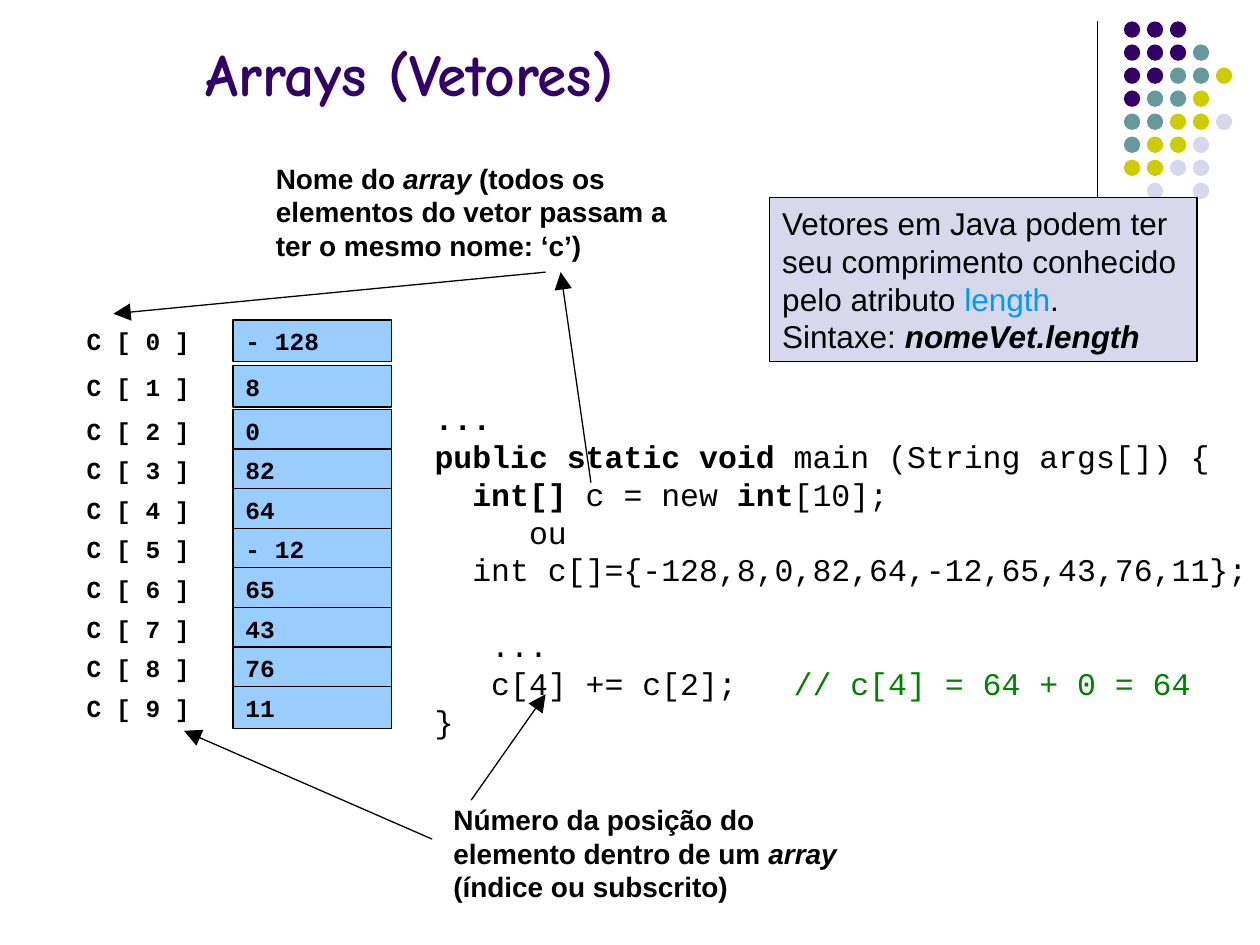
import pptx
import pptx.util
import pptx.dml.color
import pptx.enum.shapes
import pptx.enum.text
import pptx.oxml
import pptx.oxml.ns

Inches, Pt = pptx.util.Inches, pptx.util.Pt
OVAL = pptx.enum.shapes.MSO_SHAPE.OVAL
RECTANGLE = pptx.enum.shapes.MSO_SHAPE.RECTANGLE
STRAIGHT = pptx.enum.shapes.MSO_CONNECTOR.STRAIGHT


def color(hex_code):
    return pptx.dml.color.RGBColor.from_string(hex_code)


def write(shape, lines, base):
    frame = shape.text_frame
    frame.word_wrap = True
    frame.vertical_anchor = pptx.enum.text.MSO_ANCHOR.TOP
    for index, runs in enumerate(lines):
        line = frame.add_paragraph() if index else frame.paragraphs[0]
        line.alignment = pptx.enum.text.PP_ALIGN.LEFT
        line.line_spacing = Pt(base["size"].pt * 1.2)
        for text, changes in runs:
            run = line.add_run()
            run.text = text
            values = {**base, **changes}
            run.font.color.rgb = color(values.pop("color", "000000"))
            for name, value in values.items():
                setattr(run.font, name, value)


deck = pptx.Presentation()
deck.slide_width, deck.slide_height = Inches(10), Inches(7.5)
slide = deck.slides.add_slide(deck.slide_layouts[5])
shapes = slide.shapes

title = shapes.title
place = {"left": 1.53, "top": 0.13, "width": 7.22, "height": 0.78}
for name, value in place.items():
    setattr(title, name, Inches(value))
write(title, [[("Arrays (Vetores)", {"color": "330066"})]],
      {"size": Pt(34), "name": "Comic Neue", "bold": True})
title.text_frame.auto_size = pptx.enum.text.MSO_AUTO_SIZE.NONE
title.text_frame.vertical_anchor = pptx.enum.text.MSO_ANCHOR.BOTTOM
title.text_frame.paragraphs[0].line_spacing = 1.0

dot_colors = {"P": "330066", "T": "669999", "Y": "CCCC00", "L": "D8D8EC"}
dot_rows = ["PPP", "PPPT", "PPTTY", "PTTY", "TTYYL", "TYYL", "YYLL", ".L.L"]
dots = shapes.add_group_shape().shapes
for row, letters in enumerate(dot_rows):
    for column, letter in enumerate(letters):
        if letter in dot_colors:
            dot = dots.add_shape(OVAL, Inches(8.92 + column * 0.73 / 4), Inches(0.17 + row * 1.28 / 7),
                                 Inches(0.13), Inches(0.13))
            dot.shadow.inherit = False
            dot.fill.solid()
            dot.fill.fore_color.rgb = color(dot_colors[letter])
            dot.line.fill.background()

cell_format = {"size": Pt(14), "name": "Courier New", "bold": True}
elements = ["- 128", "8", "0", "82", "64", "- 12", "65", "43", "76", "11"]
tops = [2.54, 2.9] + [3.25 + step * 2.2 / 7 for step in range(8)]
boxes = []
for index, (element, top) in enumerate(zip(elements, tops)):
    pair = shapes.add_group_shape().shapes
    label = pair.add_textbox(Inches(0.59), Inches(top), Inches(1.34), Inches(0.33))
    write(label, [[(f"C [ {index} ]", {})]], cell_format)
    cell = pair.add_shape(RECTANGLE, Inches(1.85), Inches(top), Inches(1.26), Inches(0.33))
    write(cell, [[(element, {})]], cell_format)
    boxes.append((cell, "99CCFF"))

italic = {"italic": True}
captions = [
    (2.09, 1.23, [("Nome do ", {}), ("array", italic),
                  (" (todos os elementos do vetor passam a ter o mesmo nome: ‘c’)", {})]),
    (3.5, 6.32, [("Número da posição do elemento dentro de um ", {}), ("array", italic),
                 (" (índice ou subscrito)", {})]),
]
for left, top, runs in captions:
    caption = shapes.add_textbox(Inches(left), Inches(top), Inches(3.31), Inches(0.9))
    write(caption, [runs], {"size": Pt(16), "name": "Arial", "bold": True})

bold = {"bold": True}
code_lines = [
    (0, [("...", bold)]),
    (0, [("public static void", bold), (" main (String args[]) {", {})]),
    (2, [("int[]", bold), (" c = new ", {}), ("int", bold), ("[10];", {})]),
    (5, [("ou", {})]),
    (2, [("int c[]={-128,8,0,82,64,-12,65,43,76,11};", {})]),
    (3, [("...", {})]),
    (0, [("\tc[4] += c[2];\t", {}), ("// c[4] = 64 + 0 = 64", {"color": "008000"})]),
    (0, [("}", {})]),
]
code = shapes.add_textbox(Inches(3.35), Inches(3.12), Inches(6.89), Inches(3.1))
write(code, [runs for indent, runs in code_lines], {"size": Pt(18), "name": "Courier New", "bold": False})
code_paragraphs = code.text_frame.paragraphs
for line, (indent, runs) in zip(code_paragraphs, code_lines):
    line._p.get_or_add_pPr().set("marL", str(Inches(indent * 0.15)))
code_paragraphs[5].space_before = Pt(21.6)
tab_stops = pptx.oxml.parse_xml(
    f'<a:tabLst {pptx.oxml.ns.nsdecls("a")}><a:tab pos="{Inches(0.45)}" algn="l"/>'
    f'<a:tab pos="{Inches(2.85)}" algn="l"/></a:tabLst>')
code_paragraphs[6]._p.get_or_add_pPr().append(tab_stops)

strokes = [
    (8.71, 0.17, 8.71, 1.83, False),
    (4.69, 3.83, 4.45, 2.16, True),
    (4.33, 2.16, 0.9, 2.49, True),
    (3.74, 6.35, 4.33, 5.51, True),
    (3.43, 6.66, 1.46, 5.8, True),
]
for *ends, pointed in strokes:
    stroke = shapes.add_connector(STRAIGHT, *map(Inches, ends))
    stroke.line.color.rgb = color("000000")
    stroke.line.width = Pt(0.75)
    if pointed:
        stroke.line._get_or_add_ln().append(pptx.oxml.parse_xml(
            f'<a:tailEnd {pptx.oxml.ns.nsdecls("a")} type="triangle" w="lg" len="lg"/>'))
    stroke._element.spPr.append(pptx.oxml.parse_xml(f'<a:effectLst {pptx.oxml.ns.nsdecls("a")}/>'))

note = shapes.add_shape(RECTANGLE, Inches(6.11), Inches(1.57), Inches(3.39), Inches(1.3))
write(note, [
    [("Vetores em Java podem ter", {})],
    [("seu comprimento conhecido", {})],
    [("pelo atributo ", {}), ("length", {"color": "0099FF"}), (".", {})],
    [("Sintaxe: ", {}), ("nomeVet.length", {**bold, **italic})],
], {"size": Pt(18), "name": "Arial"})
boxes.append((note, "D8D8EC"))

for box, fill in boxes:
    box.shadow.inherit = False
    box.fill.solid()
    box.fill.fore_color.rgb = color(fill)
    box.line.color.rgb = color("000000")
    box.line.width = Pt(0.75)

deck.save("out.pptx")
